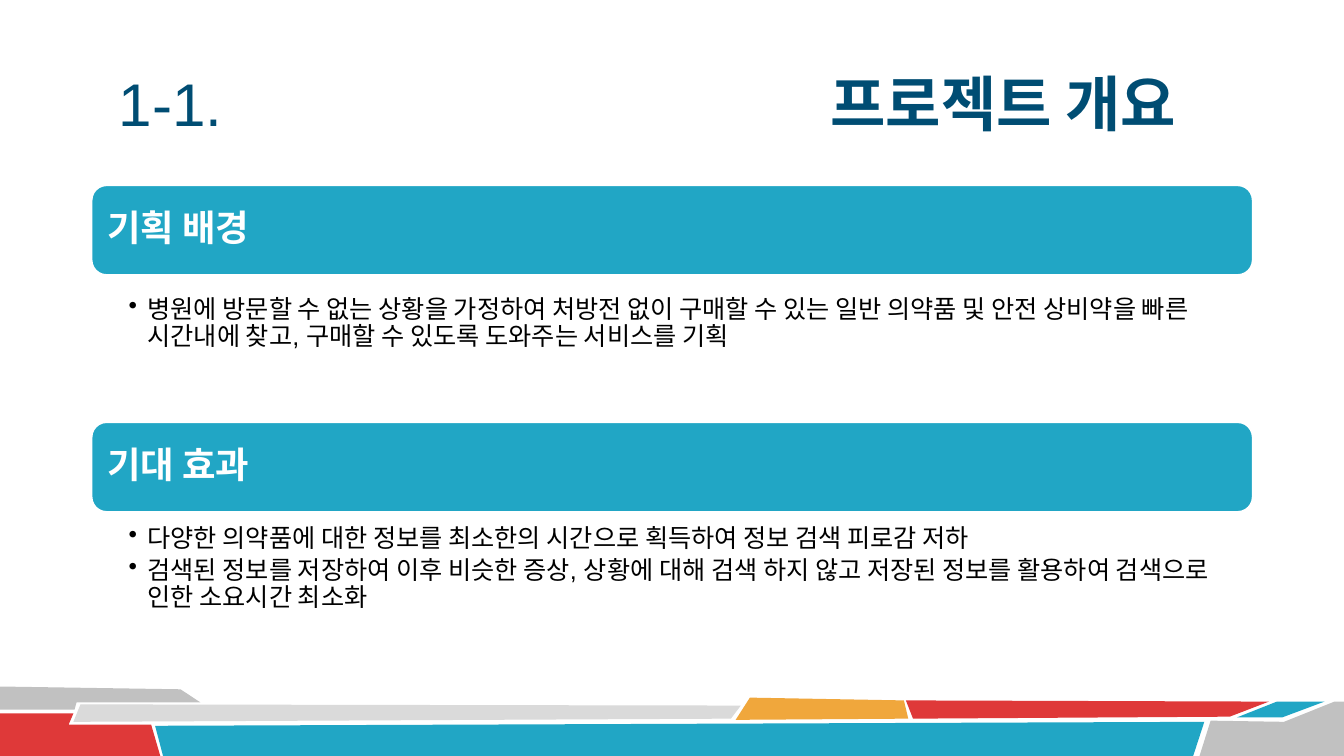
import dataclasses

import lxml.etree
import pptx
import pptx.dml.color
import pptx.enum.shapes
import pptx.enum.text
import pptx.oxml.ns
import pptx.util

Cm = pptx.util.Cm
Pt = pptx.util.Pt
ALIGN = pptx.enum.text.PP_ALIGN
ANCHOR = pptx.enum.text.MSO_ANCHOR


@dataclasses.dataclass(frozen=True)
class Theme:
    font: str = "Arial"
    navy: str = "004D73"
    teal: str = "21A6C5"
    red: str = "DF3939"
    amber: str = "F0A73C"
    grey: str = "C1C1C1"
    pale: str = "DADADA"
    white: str = "FFFFFF"
    black: str = "000000"
    title_size: int = 43
    heading_size: int = 26
    body_size: int = 18


THEME = Theme()

RIBBONS = [
    (THEME.grey, [(0, 0), (4.55, 0.07), (5.05, 0.4), (1.93, 0.4), (1.88, 0.58), (0, 0.58)]),
    (THEME.red, [(0, 0.68), (1.85, 0.68), (1.73, 0.96), (3.81, 0.96), (4.04, 1.75), (0, 1.75)]),
    (THEME.pale, [(2.03, 0.45), (18.67, 0.48), (18.42, 0.81), (1.85, 0.89)]),
    (THEME.teal, [(3.91, 0.99), (30.35, 0.89), (30.07, 1.75), (4.11, 1.75)]),
    (THEME.amber, [(18.9, 0.28), (22.78, 0.35), (22.89, 0.81), (18.54, 0.84)]),
    (THEME.red, [(22.83, 0.35), (31.98, 0.38), (30.99, 0.76), (23.01, 0.81)]),
    (THEME.teal, [(32.18, 0.38), (33.38, 0.38), (32.31, 0.78), (31.17, 0.78)]),
    (THEME.grey, [(30.51, 0.86), (32.36, 0.89), (33.63, 0.38), (33.87, 0.38),
                  (33.87, 1.75), (30.23, 1.75)]),
]

SECTIONS = [
    ("기획 배경", 4.67, 2.72, 3.3, [
        "병원에 방문할 수 없는 상황을 가정하여 처방전 없이 구매할 수 있는 일반 의약품 및 안전 상비약을 빠른 "
        "시간내에 찾고, 구매할 수 있도록 도와주는 서비스를 기획",
    ]),
    ("기대 효과", 10.64, 2.52, 2.26, [
        "다양한 의약품에 대한 정보를 최소한의 시간으로 획득하여 정보 검색 피로감 저하",
        "검색된 정보를 저장하여 이후 비슷한 증상, 상황에 대해 검색 하지 않고 저장된 정보를 활용하여 "
        "검색으로 인한 소요시간 최소화",
    ]),
]


def rgb(value):
    return pptx.dml.color.RGBColor.from_string(value)


def style_runs(paragraph, size, colour, bold=False):
    for run in paragraph.runs:
        run.font.name = THEME.font
        run.font.size = Pt(size)
        run.font.bold = bold
        run.font.color.rgb = rgb(colour)


def set_frame(frame, anchor, left=0.25, top=0.13, right=0.25, bottom=0.13, wrap=True):
    frame.auto_size = pptx.enum.text.MSO_AUTO_SIZE.NONE
    frame.word_wrap = wrap
    frame.vertical_anchor = anchor
    frame.margin_left, frame.margin_right = Cm(left), Cm(right)
    frame.margin_top, frame.margin_bottom = Cm(top), Cm(bottom)


def add_bullet(paragraph, indent):
    properties = paragraph._p.get_or_add_pPr()
    properties.set("marL", str(Cm(indent)))
    properties.set("indent", str(-Cm(indent)))
    bullet = lxml.etree.SubElement(properties, pptx.oxml.ns.qn("a:buChar"))
    bullet.set("char", "•")


def draw_ribbons(slide, left, top):
    for colour, corners in RIBBONS:
        points = [(Cm(left + x), Cm(top + y)) for x, y in corners]
        builder = slide.shapes.build_freeform(*points[0])
        builder.add_line_segments(points[1:], close=True)
        ribbon = builder.convert_to_shape()
        ribbon.shadow.inherit = False
        ribbon.fill.solid()
        ribbon.fill.fore_color.rgb = rgb(colour)
        ribbon.line.fill.background()


def draw_title(slide, left, top, width, height):
    heading = slide.shapes.title
    number_width = 2.2
    title_left = left + 5.26
    heading.left, heading.top = Cm(title_left), Cm(top)
    heading.width, heading.height = Cm(left + width - title_left), Cm(height)
    number = slide.shapes.add_textbox(Cm(left), Cm(top), Cm(number_width), Cm(height))
    for part, words, align, bold, wrap in (
        (heading, "프로젝트 개요", ALIGN.RIGHT, True, True),
        (number, "1-1.", ALIGN.LEFT, False, False),
    ):
        part.text_frame.text = words
        set_frame(part.text_frame, ANCHOR.TOP, wrap=wrap)
        paragraph = part.text_frame.paragraphs[0]
        paragraph.alignment = align
        style_runs(paragraph, THEME.title_size, THEME.navy, bold)


def draw_section(slide, left, top, width, heading, body_offset, body_height, points):
    banner = slide.shapes.add_shape(
        pptx.enum.shapes.MSO_SHAPE.ROUNDED_RECTANGLE,
        Cm(left), Cm(top), Cm(width), Cm(2.26))
    banner.shadow.inherit = False
    banner.fill.solid()
    banner.fill.fore_color.rgb = rgb(THEME.teal)
    banner.line.color.rgb = rgb(THEME.white)
    banner.line.width = Pt(1.25)
    banner.text_frame.text = heading
    set_frame(banner.text_frame, ANCHOR.MIDDLE, 0.28, 0.28, 0.28, 0.28)
    paragraph = banner.text_frame.paragraphs[0]
    paragraph.alignment = ALIGN.LEFT
    paragraph.line_spacing = 0.9
    paragraph.space_after = Pt(9)
    style_runs(paragraph, THEME.heading_size, THEME.white, True)

    body = slide.shapes.add_textbox(
        Cm(left), Cm(top + body_offset), Cm(width), Cm(body_height))
    body.text_frame.text = "\n".join(points)
    set_frame(body.text_frame, ANCHOR.TOP, 0.93, 0.08, 0.36, 0.08)
    for paragraph in body.text_frame.paragraphs:
        add_bullet(paragraph, 0.48)
        paragraph.level = 1
        paragraph.line_spacing = 0.9
        paragraph.space_after = Pt(3.6)
        style_runs(paragraph, THEME.body_size, THEME.black)


def main():
    deck = pptx.Presentation()
    deck.slide_width, deck.slide_height = Cm(33.87), Cm(19.05)
    slide = deck.slides.add_slide(deck.slide_layouts.get_by_name("Title Only"))
    draw_ribbons(slide, 0, 17.3)
    draw_title(slide, 2.74, 1.55, 27.15, 2.08)
    for heading, top, body_offset, body_height, points in SECTIONS:
        draw_section(slide, 2.31, top, 29.26, heading, body_offset, body_height, points)
    deck.save("out.pptx")


if __name__ == "__main__":
    main()
